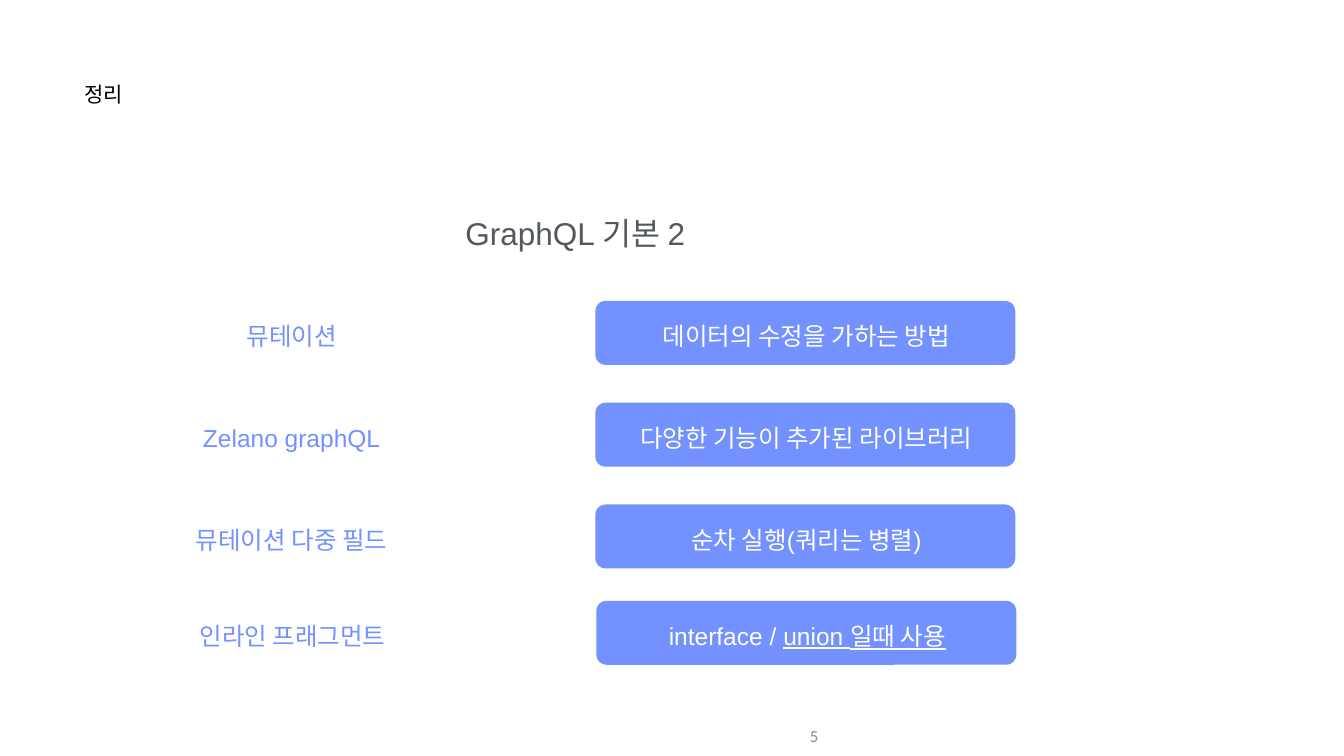
from dataclasses import dataclass

from pptx import Presentation
from pptx.dml.color import RGBColor
from pptx.enum.shapes import MSO_SHAPE
from pptx.enum.text import MSO_ANCHOR, PP_ALIGN
from pptx.slide import Slide
from pptx.util import Inches, Pt

BLUE = RGBColor(0x73, 0x91, 0xFF)
WHITE = RGBColor(0xFF, 0xFF, 0xFF)
BLACK = RGBColor(0x00, 0x00, 0x00)
SLATE = RGBColor(0x53, 0x58, 0x5F)
GREY = RGBColor(0x88, 0x88, 0x88)

TERM_X, TERM_W = 2.66, 6.25
CARD_X, CARD_W, CARD_H = 11.81, 8.33, 1.27
TEXT_DY, TEXT_H = 0.38, 0.62


@dataclass
class Style:
    size: float
    color: RGBColor
    align: PP_ALIGN = PP_ALIGN.CENTER
    anchor: MSO_ANCHOR = MSO_ANCHOR.MIDDLE
    font: str = "Arial"
    inset_x: float = 0.01
    inset_y: float = 0.01


@dataclass
class Row:
    top: float
    term: str
    meaning: str
    underlined: str = ""
    shift: float = 0


TITLE = Style(30, BLACK, PP_ALIGN.LEFT, MSO_ANCHOR.TOP)
HEADING = Style(45, SLATE, anchor=MSO_ANCHOR.TOP)
TERM = Style(35, BLUE)
MEANING = Style(35, WHITE)
PAGE_NUMBER = Style(24, GREY, PP_ALIGN.RIGHT, font="Calibri", inset_x=0.1, inset_y=0.05)

ROWS = [
    Row(5.97, "뮤테이션", "데이터의 수정을 가하는 방법"),
    Row(7.99, "Zelano graphQL", "다양한 기능이 추가된 라이브러리"),
    Row(10.01, "뮤테이션 다중 필드", "순차 실행(쿼리는 병렬)"),
    Row(11.92, "인라인 프래그먼트", "interface / ", "union 일때 사용", shift=0.02),
]


def add_text(s: Slide, x: float, y: float, w: float, h: float,
             text: str, style: Style, underlined: str = "") -> None:
    """Add a one-paragraph text box, optionally ending in an underlined run."""
    tf = s.shapes.add_textbox(Inches(x), Inches(y), Inches(w), Inches(h)).text_frame
    frame_format = {
        "word_wrap": True,
        "vertical_anchor": style.anchor,
        "margin_left": Inches(style.inset_x),
        "margin_right": Inches(style.inset_x),
        "margin_top": Inches(style.inset_y),
        "margin_bottom": Inches(style.inset_y),
    }
    for name, value in frame_format.items():
        setattr(tf, name, value)
    p = tf.paragraphs[0]
    p.alignment = style.align
    for part, underline in ((text, None), (underlined, True)):
        if not part:
            continue
        r = p.add_run()
        r.text = part
        font_format = {"name": style.font, "size": Pt(style.size), "underline": underline}
        for name, value in font_format.items():
            setattr(r.font, name, value)
        r.font.color.rgb = style.color


def add_card(s: Slide, x: float, y: float) -> None:
    """Add the blue rounded card behind a meaning."""
    sp = s.shapes.add_shape(MSO_SHAPE.ROUNDED_RECTANGLE,
                            Inches(x), Inches(y), Inches(CARD_W), Inches(CARD_H))
    sp.adjustments[0] = 0.16
    sp.shadow.inherit = False
    sp.fill.solid()
    sp.fill.fore_color.rgb = BLUE
    sp.line.fill.background()


def add_row(s: Slide, row: Row) -> None:
    """Add a term with its meaning on a card."""
    text_y = row.top + TEXT_DY
    card_x = CARD_X + row.shift
    add_card(s, card_x, row.top)
    add_text(s, TERM_X + row.shift, text_y, TERM_W, TEXT_H, row.term, TERM)
    add_text(s, card_x + 0.02, text_y, CARD_W, TEXT_H, row.meaning, MEANING, row.underlined)


def main() -> None:
    prs = Presentation()
    prs.slide_width, prs.slide_height = Inches(26.66), Inches(15)
    s = prs.slides.add_slide(prs.slide_layouts[6])

    # Title and heading
    add_text(s, 1.67, 1.6, 4.86, 1.18, "정리", TITLE)
    add_text(s, 2.64, 4.24, 17.54, 0.79, "GraphQL 기본 2", HEADING)

    # Terms and meanings
    for row in ROWS:
        add_row(s, row)

    # Page number
    add_text(s, 10.33, 14.21, 6, 0.79, "5", PAGE_NUMBER)

    prs.save("out.pptx")


if __name__ == "__main__":
    main()
